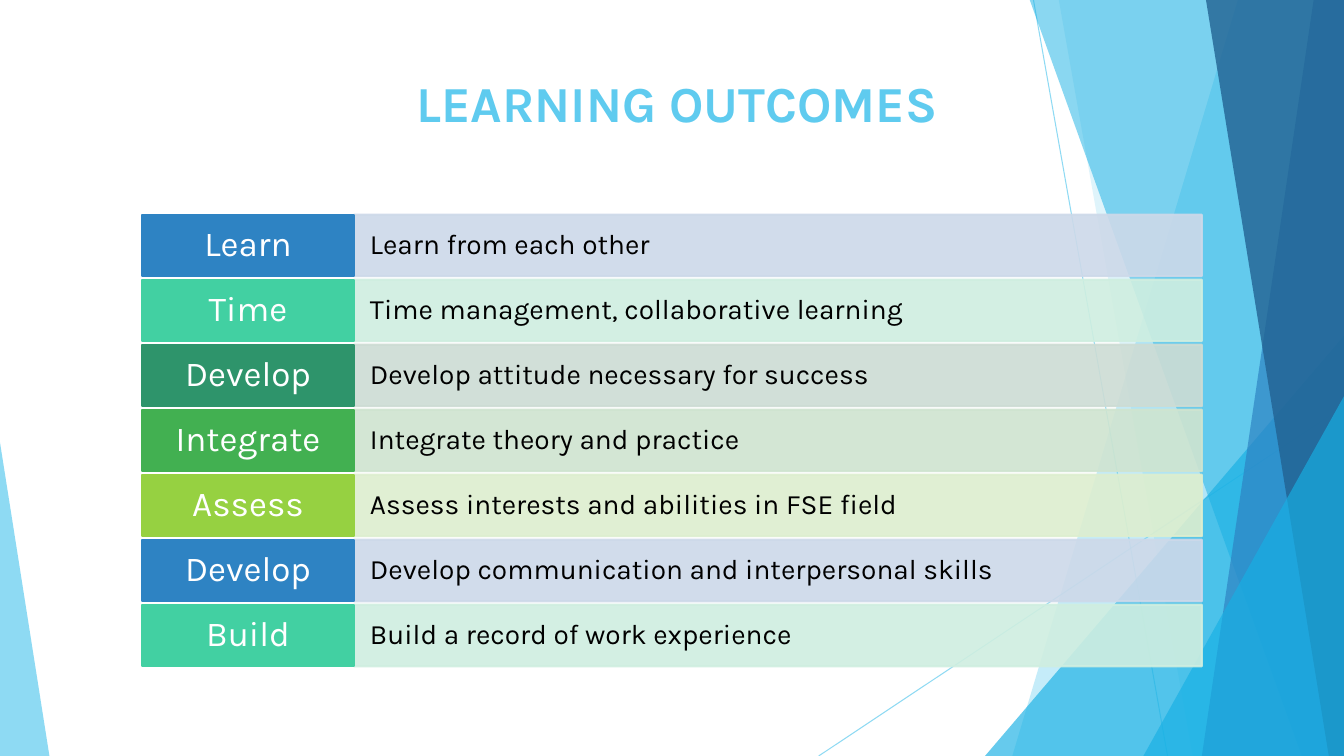
from lxml.etree import SubElement
from pptx import Presentation
from pptx.dml.color import RGBColor
from pptx.enum.shapes import MSO_CONNECTOR, MSO_SHAPE
from pptx.enum.text import MSO_ANCHOR as Anchor, MSO_AUTO_SIZE, PP_ALIGN as Align
from pptx.oxml.ns import qn
from pptx.util import Inches, Pt

WIDTH, HEIGHT = 13.33, 7.5
SKY, CYAN, BLUE, NAVY = "5FCBEF", "17B0E4", "2E83C3", "226292"
MINT, PALE_BLUE, PALE_MINT = "42D0A2", "CDD9E9", "CFEEE0"

OUTCOMES = [
    ("Learn", "Learn from each other", BLUE, PALE_BLUE),
    ("Time", "Time management, collaborative learning", MINT, PALE_MINT),
    ("Develop", "Develop attitude necessary for success", "2E946B", "CDDCD4"),
    ("Integrate", "Integrate theory and practice", "42B051", "CFE4D0"),
    ("Assess", "Assess interests and abilities in FSE field", "96D141", "DDEECF"),
    ("Develop", "Develop communication and interpersonal skills", BLUE, PALE_BLUE),
    ("Build", "Build a record of work experience", MINT, PALE_MINT),
]
ROWS_TOP, LAST_ROW_TOP, ROW_HEIGHT = 2.13, 6, 0.61
ROW_PITCH = (LAST_ROW_TOP - ROWS_TOP) / (len(OUTCOMES) - 1)
VERB_LEFT, VERB_WIDTH, DETAIL_WIDTH = 1.41, 2.1, 8.41


def rgb(color):
    return RGBColor.from_string(color)


def set_opacity(shape, percent):
    """Apply one opacity to every fill and line colour of the shape."""
    if percent < 100:
        for color in shape._element.spPr.iter(qn("a:srgbClr")):
            SubElement(color, qn("a:alpha"), val=str(percent * 1000))


def write(shape, text, *, size, color, font="Karla", bold=False, align=Align.LEFT,
          anchor=Anchor.MIDDLE, insets=(0.1, 0.05), spacing=0.9):
    frame = shape.text_frame
    frame.word_wrap = True
    frame.auto_size = MSO_AUTO_SIZE.NONE
    frame.vertical_anchor = anchor
    frame.margin_left = frame.margin_right = Inches(insets[0])
    frame.margin_top = frame.margin_bottom = Inches(insets[1])
    paragraph = frame.paragraphs[0]
    paragraph.alignment = align
    paragraph.line_spacing = spacing
    run = paragraph.add_run()
    run.text = text
    run.font.name, run.font.size, run.font.bold = font, Pt(size), bold
    run.font.color.rgb = rgb(color)


class SlideBuilder:
    def __init__(self, deck):
        self.slide = deck.slides.add_slide(deck.slide_layouts[5])
        self.shapes = self.slide.shapes

    def title(self, text, left, top, width, height):
        heading = self.shapes.title
        heading.left, heading.top = Inches(left), Inches(top)
        heading.width, heading.height = Inches(width), Inches(height)
        write(heading, text, size=36, color=SKY, bold=True, anchor=Anchor.TOP, spacing=1.0)
        heading.text_frame.margin_left = Inches(2.72)

    def paint(self, shape, color, opacity, outline=None):
        shape.shadow.inherit = False
        shape.fill.solid()
        shape.fill.fore_color.rgb = rgb(color)
        if outline:
            shape.line.color.rgb = rgb(color)
            shape.line.width = Pt(outline)
        else:
            shape.line.fill.background()
        set_opacity(shape, opacity)

    def hairline(self, start, end):
        ends = [Inches(value) for value in (*start, *end)]
        line = self.shapes.add_connector(MSO_CONNECTOR.STRAIGHT, *ends)
        line.line.color.rgb = rgb(SKY)
        line.line.width = Pt(0.75)
        set_opacity(line, 70)
        SubElement(line._element.spPr, qn("a:effectLst"))

    def band(self, top_x, bottom_x, color, opacity):
        """Fill from a slanted left edge to the right edge of the slide."""
        outline = self.shapes.build_freeform(Inches(top_x), Inches(-0.01))
        corners = [(WIDTH, -0.01), (WIDTH, HEIGHT), (bottom_x, HEIGHT)]
        outline.add_line_segments([(Inches(x), Inches(y)) for x, y in corners])
        self.paint(outline.convert_to_shape(), color, opacity)

    def triangle(self, left, top, width, apex, color, opacity):
        """Stand a triangle on the bottom edge; apex runs from 0 (left) to 1 (right)."""
        shape = self.shapes.add_shape(
            MSO_SHAPE.ISOSCELES_TRIANGLE,
            Inches(left), Inches(top), Inches(width), Inches(HEIGHT - top))
        shape.adjustments[0] = apex
        self.paint(shape, color, opacity)

    def cell(self, text, left, top, width, fill, opacity=100, **text_format):
        box = self.shapes.add_shape(
            MSO_SHAPE.RECTANGLE,
            Inches(left), Inches(top), Inches(width), Inches(ROW_HEIGHT))
        self.paint(box, fill, opacity, outline=1.5)
        write(box, text, **text_format)


def main():
    deck = Presentation()
    deck.slide_width, deck.slide_height = Inches(WIDTH), Inches(HEIGHT)
    page = SlideBuilder(deck)

    page.hairline((10.25, 0), (11.58, HEIGHT))
    page.hairline((WIDTH, 4.03), (8.12, HEIGHT))
    page.band(12.28, 10.04, SKY, 36)
    page.band(10.5, 11.83, SKY, 20)
    page.triangle(9.77, 3.33, 3.56, 1, CYAN, 66)
    page.band(10.21, 12.91, CYAN, 50)
    page.band(13.03, 11.92, BLUE, 70)
    page.band(11.96, 13.18, NAVY, 80)
    page.triangle(11.34, 3.93, 1.99, 1, CYAN, 66)
    page.triangle(0, 4.39, 0.49, 0, SKY, 70)

    page.title("LEARNING OUTCOMES", VERB_LEFT, 0.67, 11.15, 1.2)
    for row, (verb, detail, strong, pale) in enumerate(OUTCOMES):
        top = ROWS_TOP + row * ROW_PITCH
        page.cell(detail, VERB_LEFT + VERB_WIDTH, top, DETAIL_WIDTH, pale, 90,
                  size=20, color="000000", insets=(0.16, 0.15))
        page.cell(verb, VERB_LEFT, top, VERB_WIDTH, strong,
                  size=25, color="FFFFFF", align=Align.CENTER, insets=(0.11, 0.06))

    deck.save("out.pptx")


if __name__ == "__main__":
    main()
